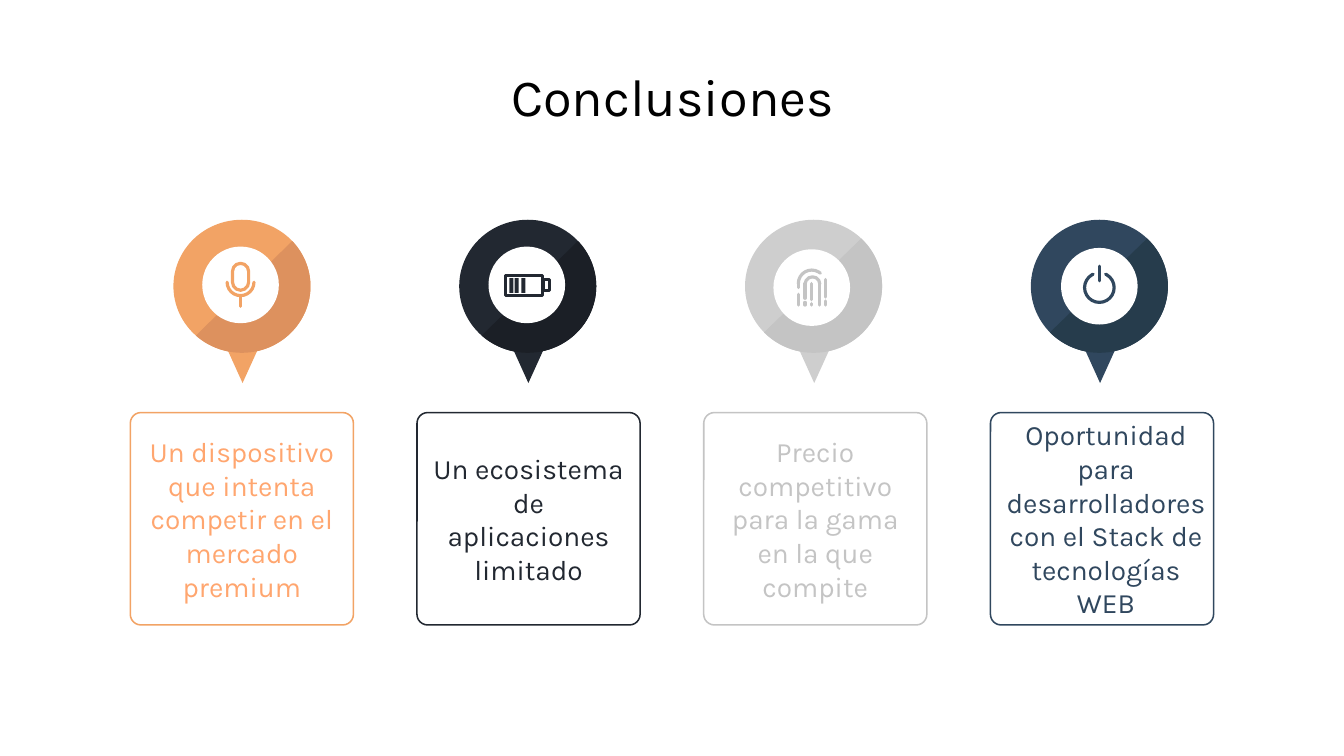
from lxml import etree
from pptx import Presentation
from pptx.dml.color import RGBColor
from pptx.enum.shapes import MSO_CONNECTOR, MSO_SHAPE
from pptx.enum.text import MSO_ANCHOR, MSO_AUTO_SIZE, PP_ALIGN
from pptx.oxml.ns import qn
from pptx.util import Inches, Pt

FONT = "Karla"
BLACK = RGBColor(0x00, 0x00, 0x00)
WHITE = RGBColor(0xFF, 0xFF, 0xFF)
ORANGE = RGBColor(0xF2, 0xA3, 0x65)
PEACH = RGBColor(0xFF, 0xA6, 0x6F)
RUST = RGBColor(0xDD, 0x91, 0x5E)
INK = RGBColor(0x22, 0x28, 0x31)
COAL = RGBColor(0x1B, 0x1F, 0x26)
SILVER = RGBColor(0xCE, 0xCE, 0xCE)
GRAY = RGBColor(0xC4, 0xC4, 0xC4)
NAVY = RGBColor(0x30, 0x47, 0x5E)
TEAL = RGBColor(0x26, 0x3C, 0x4C)

TITLE = "Conclusiones"

MIC = [
    ("round", -0.06, -0.16, 0.12, 0.2),
    ("arc", -0.1, -0.12, 0.2, 0.2, 0, 180),
    ("line", 0, 0.08, 0, 0.16),
]
BATTERY = [
    ("frame", -0.16, -0.07, 0.28, 0.15),
    ("frame", 0.12, -0.04, 0.05, 0.08),
    ("bar", -0.13, -0.05, 0.03, 0.11),
    ("bar", -0.09, -0.05, 0.03, 0.11),
    ("bar", -0.04, -0.05, 0.03, 0.11),
]
FINGER = [
    ("arc", -0.1, -0.13, 0.2, 0.2, 180, 310),
    ("arc", -0.05, -0.08, 0.11, 0.11, 180, 360),
    ("line", -0.1, -0.03, -0.1, 0),
    ("line", -0.1, 0.05, -0.1, 0.13),
    ("line", -0.05, -0.03, -0.05, 0.08),
    ("line", -0.05, 0.11, -0.05, 0.13),
    ("line", 0, -0.03, 0, 0.09),
    ("line", 0, 0.12, 0, 0.13),
    ("line", 0.06, -0.03, 0.06, 0.13),
    ("line", 0.1, -0.06, 0.1, 0.07),
    ("line", 0.1, 0.1, 0.1, 0.13),
]
POWER = [
    ("arc", -0.11, -0.1, 0.22, 0.22, 295, 245),
    ("line", 0, -0.15, 0, -0.04),
]

PINS = [
    dict(text="Un dispositivo que intenta competir en el mercado premium",
         main=ORANGE, shade=RUST, edge=ORANGE, ink=PEACH,
         icon=MIC, cut=(318, 133), hole=(1.79, 2.12), right=0.08),
    dict(text="Un ecosistema de aplicaciones limitado",
         main=INK, shade=COAL, edge=INK, ink=INK,
         icon=BATTERY, cut=(318, 133), hole=(3.92, 2.12), right=0.08),
    dict(text="Precio competitivo para la gama en la que compite",
         main=SILVER, shade=GRAY, edge=GRAY, ink=GRAY,
         icon=FINGER, cut=(315, 137), hole=(6.04, 2.14), right=0.08),
    dict(text="Oportunidad para desarrolladores con el Stack de tecnologías WEB",
         main=NAVY, shade=TEAL, edge=NAVY, ink=NAVY,
         icon=POWER, cut=(315, 137), hole=(8.18, 2.13), right=0.02),
]

HEAD_X, HEAD_Y, HEAD_W, HEAD_H = 1.8, 2.13, 1.02, 0.99
HEAD_END = 8.18
HOLE = 0.57
BOX_X, BOX_Y, BOX_W, BOX_H = 0.97, 3.07, 1.66, 1.58
BOX_END = 7.37
GAPS = len(PINS) - 1
STROKE = 1.7
KINDS = {"round": MSO_SHAPE.ROUNDED_RECTANGLE, "frame": MSO_SHAPE.RECTANGLE,
         "bar": MSO_SHAPE.RECTANGLE, "arc": MSO_SHAPE.ARC}


def add(shapes, kind, x, y, w, h, fill=None, edge=None, width=STROKE):
    shape = shapes.add_shape(kind, Inches(x), Inches(y), Inches(w), Inches(h))
    shape.shadow.inherit = False
    if fill is None:
        shape.fill.background()
    else:
        shape.fill.solid()
        shape.fill.fore_color.rgb = fill
    if edge is None:
        shape.line.fill.background()
    else:
        shape.line.color.rgb = edge
        shape.line.width = Pt(width)
    return shape


def disc(shapes, x, y, w, h, fill):
    add(shapes, MSO_SHAPE.OVAL, x - w / 2, y - h / 2, w, h, fill)


def bend(shape, angles):
    for i, angle in enumerate(angles):
        shape.adjustments[i] = angle * 0.6


def stroke(shapes, x, y, ends, color):
    ax, ay, bx, by = ends
    line = shapes.add_connector(MSO_CONNECTOR.STRAIGHT, Inches(x + ax), Inches(y + ay),
                                Inches(x + bx), Inches(y + by))
    line.line.color.rgb = color
    line.line.width = Pt(STROKE)
    etree.SubElement(line._element.spPr, qn("a:effectLst"))
    return line


def draw(shapes, icon, x, y, color):
    for kind, *nums in icon:
        if kind == "line":
            part = stroke(shapes, x, y, nums, color)
        else:
            dx, dy, w, h, *angles = nums
            look = dict(fill=color) if kind == "bar" else dict(edge=color)
            part = add(shapes, KINDS[kind], x + dx, y + dy, w, h, **look)
            if kind == "round":
                part.adjustments[0] = 0.5
            bend(part, angles)
        if kind in ("line", "arc"):
            part.line._get_or_add_ln().set("cap", "rnd")


def write(shape, text, size, color, left=0.1, right=0.1):
    frame = shape.text_frame
    form = dict(word_wrap=True, auto_size=MSO_AUTO_SIZE.NONE,
                vertical_anchor=MSO_ANCHOR.MIDDLE,
                margin_left=Inches(left), margin_right=Inches(right),
                margin_top=Inches(0.08), margin_bottom=Inches(0.08))
    for name, value in form.items():
        setattr(frame, name, value)
    frame.text = text
    para = frame.paragraphs[0]
    para.alignment = PP_ALIGN.CENTER
    para.line_spacing = 1.0
    for name, value in dict(name=FONT, size=Pt(size), bold=False).items():
        setattr(para.font, name, value)
    para.font.color.rgb = color


def place(slide, i, pin):
    left = BOX_X + i * (BOX_END - BOX_X) / GAPS
    box = add(slide.shapes, MSO_SHAPE.ROUNDED_RECTANGLE, left, BOX_Y,
              BOX_W, BOX_H, edge=pin["edge"], width=0.81)
    box.adjustments[0] = 0.05
    write(box, pin["text"], 15, pin["ink"], 0.08, pin["right"])

    x = HEAD_X + i * (HEAD_END - HEAD_X) / GAPS
    shapes = slide.shapes.add_group_shape().shapes
    add(shapes, MSO_SHAPE.FLOWCHART_MERGE, x - 0.14, 2.53, 0.29, 0.32, pin["main"])
    disc(shapes, x, HEAD_Y, HEAD_W, HEAD_H, pin["main"])
    half = add(shapes, MSO_SHAPE.CHORD, x - HEAD_W / 2, HEAD_Y - HEAD_H / 2,
               HEAD_W, HEAD_H, pin["shade"])
    bend(half, pin["cut"])
    disc(shapes, *pin["hole"], HOLE, HOLE, WHITE)
    draw(shapes, pin["icon"], *pin["hole"], pin["edge"])


def main():
    deck = Presentation()
    deck.slide_width = Inches(10)
    deck.slide_height = deck.slide_width * 9 // 16
    slide = deck.slides.add_slide(deck.slide_layouts[5])
    title = slide.shapes.title
    spot = dict(left=0.78, top=0.45, width=8.45, height=0.53)
    for name, value in spot.items():
        setattr(title, name, Inches(value))
    write(title, TITLE, 28, BLACK)
    for i, pin in enumerate(PINS):
        place(slide, i, pin)
    deck.save("out.pptx")


if __name__ == "__main__":
    main()
